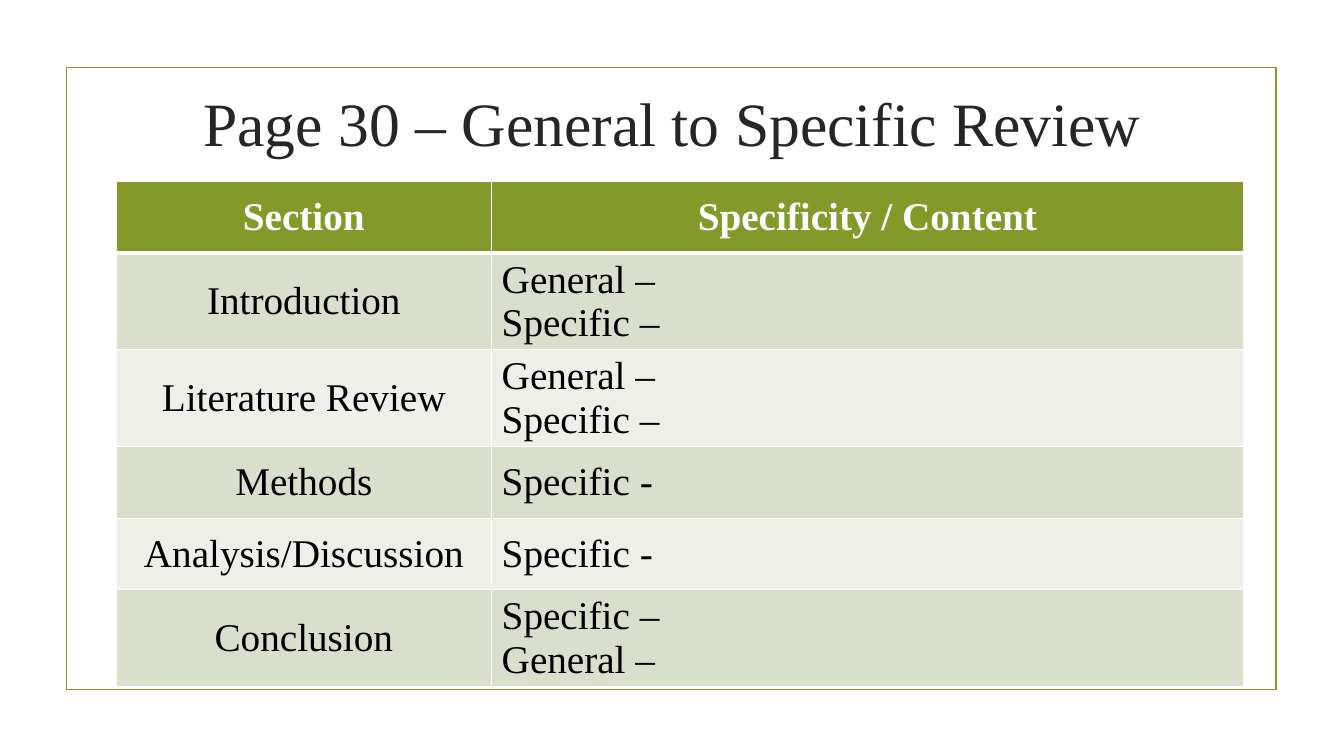
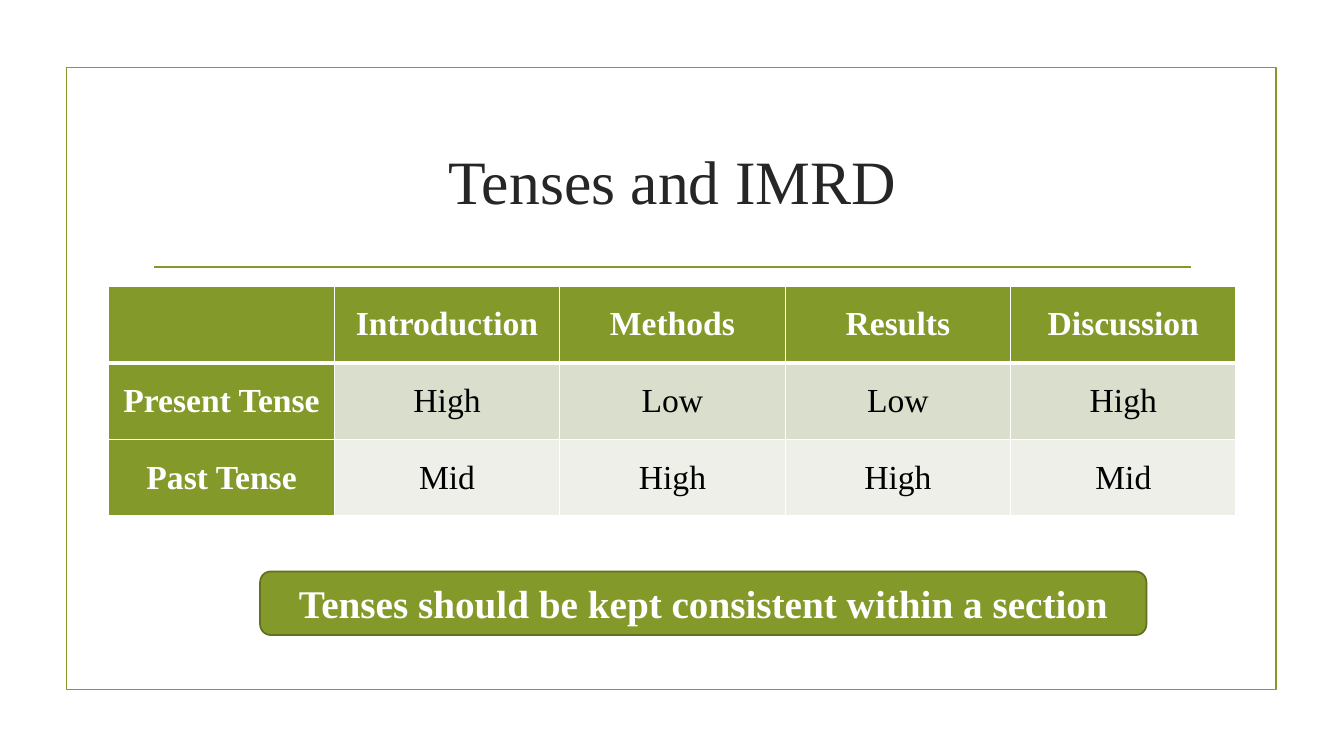
from lxml import etree
from pptx import Presentation
from pptx.dml.color import RGBColor
from pptx.enum.shapes import MSO_CONNECTOR, MSO_SHAPE
from pptx.enum.text import MSO_ANCHOR, MSO_AUTO_SIZE, PP_ALIGN
from pptx.oxml import parse_xml
from pptx.oxml.ns import nsdecls, qn
from pptx.util import Inches, Pt

RECTANGLE, ROUNDED = MSO_SHAPE.RECTANGLE, MSO_SHAPE.ROUNDED_RECTANGLE
STRAIGHT = MSO_CONNECTOR.STRAIGHT
MIDDLE, NO_FIT = MSO_ANCHOR.MIDDLE, MSO_AUTO_SIZE.NONE
LEFT, CENTER = PP_ALIGN.LEFT, PP_ALIGN.CENTER

# Shared style
FONT = "Times New Roman"
GREEN, DARK_GREEN = "83992A", "61711F"
BANDS = ("D9DECD", "EDEFE8")
WHITE, BLACK, TITLE_INK = "FFFFFF", "000000", "262626"
LINE_WIDTH = 1.25
FRAME_BOX = (0.66, 0.67, 12, 6.17)
TITLE_ONLY = 5


def rgb(hex_color):
    return RGBColor.from_string(hex_color)


def inches(box):
    return [Inches(length) for length in box]


def write(frame, text, size=28, color=BLACK, bold=False, align=CENTER):
    """Fill a text frame, one paragraph for each line of text."""
    frame.text = text
    frame.word_wrap = True
    frame.vertical_anchor = MIDDLE
    for paragraph in frame.paragraphs:
        paragraph.alignment = align
        font = paragraph.font
        font.name, font.size, font.bold = FONT, Pt(size), bold
        font.color.rgb = rgb(color)


def set_outline(line, color):
    line.color.rgb = rgb(color)
    line.width = Pt(LINE_WIDTH)


def add_box(slide, kind, box, outline, fill=None):
    shape = slide.shapes.add_shape(kind, *inches(box))
    shape.shadow.inherit = False
    if fill:
        shape.fill.solid()
        shape.fill.fore_color.rgb = rgb(fill)
    else:
        shape.fill.background()
    set_outline(shape.line, outline)
    return shape


def add_rule(slide, left, right, y):
    rule = slide.shapes.add_connector(
        STRAIGHT, *inches((left, y, right, y)))
    set_outline(rule.line, GREEN)
    etree.SubElement(rule.element.spPr, qn("a:effectLst"))


def set_borders(cell, top, bottom):
    """Draw white cell borders; top and bottom are widths in points."""
    widths = {"lnL": 1, "lnR": 1, "lnT": top, "lnB": bottom}
    properties = cell.fill._xPr
    for position, (side, width) in enumerate(widths.items()):
        properties.insert(position, parse_xml(
            f'<a:{side} {nsdecls("a")} w="{Pt(width)}"><a:solidFill>'
            f'<a:srgbClr val="{WHITE}"/></a:solidFill></a:{side}>'))


def add_grid(slide, box, rows, column_shares, row_heights, size,
             header_column=False, body_align=CENTER):
    """Place a banded table; body_align applies from the second column on."""
    table = slide.shapes.add_table(
        len(rows), len(rows[0]), *inches(box)).table
    table.first_col = header_column
    for column, share in zip(table.columns, column_shares):
        column.width = Inches(box[2] * share / sum(column_shares))
    for r, (texts, height) in enumerate(zip(rows, row_heights)):
        table.rows[r].height = Inches(height)
        for c, text in enumerate(texts):
            cell = table.cell(r, c)
            is_header = r == 0 or (header_column and c == 0)
            cell.fill.solid()
            cell.fill.fore_color.rgb = rgb(
                GREEN if is_header else BANDS[(r - 1) % 2])
            set_borders(cell, 3 if r == 1 else 1, 3 if r == 0 else 1)
            write(cell.text_frame, text, size=size, bold=is_header,
                  color=WHITE if is_header else BLACK,
                  align=body_align if r and c else CENTER)
            cell.vertical_anchor = MIDDLE


def add_framed_slide(deck, title, title_box):
    slide = deck.slides.add_slide(deck.slide_layouts[TITLE_ONLY])
    heading = slide.shapes.title
    heading.left, heading.top, heading.width, heading.height = inches(title_box)
    write(heading.text_frame, title, size=44, color=TITLE_INK)
    heading.text_frame.auto_size = NO_FIT
    add_box(slide, RECTANGLE, FRAME_BOX, GREEN)
    return slide


def build_review(deck):
    slide = add_framed_slide(deck, "Page 30 – General to Specific Review",
                             (1.42, 0.78, 10.5, 0.85))
    rows = [
        ("Section", "Specificity / Content"),
        ("Introduction", "General –\nSpecific –"),
        ("Literature Review", "General –\nSpecific –"),
        ("Methods", "Specific -"),
        ("Analysis/Discussion", "Specific -"),
        ("Conclusion", "Specific –\nGeneral –"),
    ]
    heights = [0.95 if "\n" in content else 0.71 for _, content in rows]
    add_grid(slide, (1.15, 1.8, 11.18, sum(heights)), rows, (1, 2), heights,
             size=28, body_align=LEFT)


def build_tenses(deck):
    slide = add_framed_slide(deck, "Tenses and IMRD", (1.42, 1.07, 10.5, 1.43))
    add_rule(slide, 1.53, 11.81, 2.65)
    rows = [
        ("", "Introduction", "Methods", "Results", "Discussion"),
        ("Present Tense", "High", "Low", "Low", "High"),
        ("Past Tense", "Mid", "High", "High", "Mid"),
    ]
    heights = [0.76] * len(rows)
    add_grid(slide, (1.08, 2.84, 11.18, sum(heights)), rows, [1] * 5, heights,
             size=24, header_column=True)
    # Closing advice
    advice = add_box(slide, ROUNDED, (2.58, 5.67, 8.79, 0.63), DARK_GREEN, GREEN)
    write(advice.text_frame, "Tenses should be kept consistent within a section",
          color=WHITE, bold=True)


def main():
    deck = Presentation()
    deck.slide_width, deck.slide_height = inches((13.33, 7.5))
    build_review(deck)
    build_tenses(deck)
    deck.save("out.pptx")


if __name__ == "__main__":
    main()
